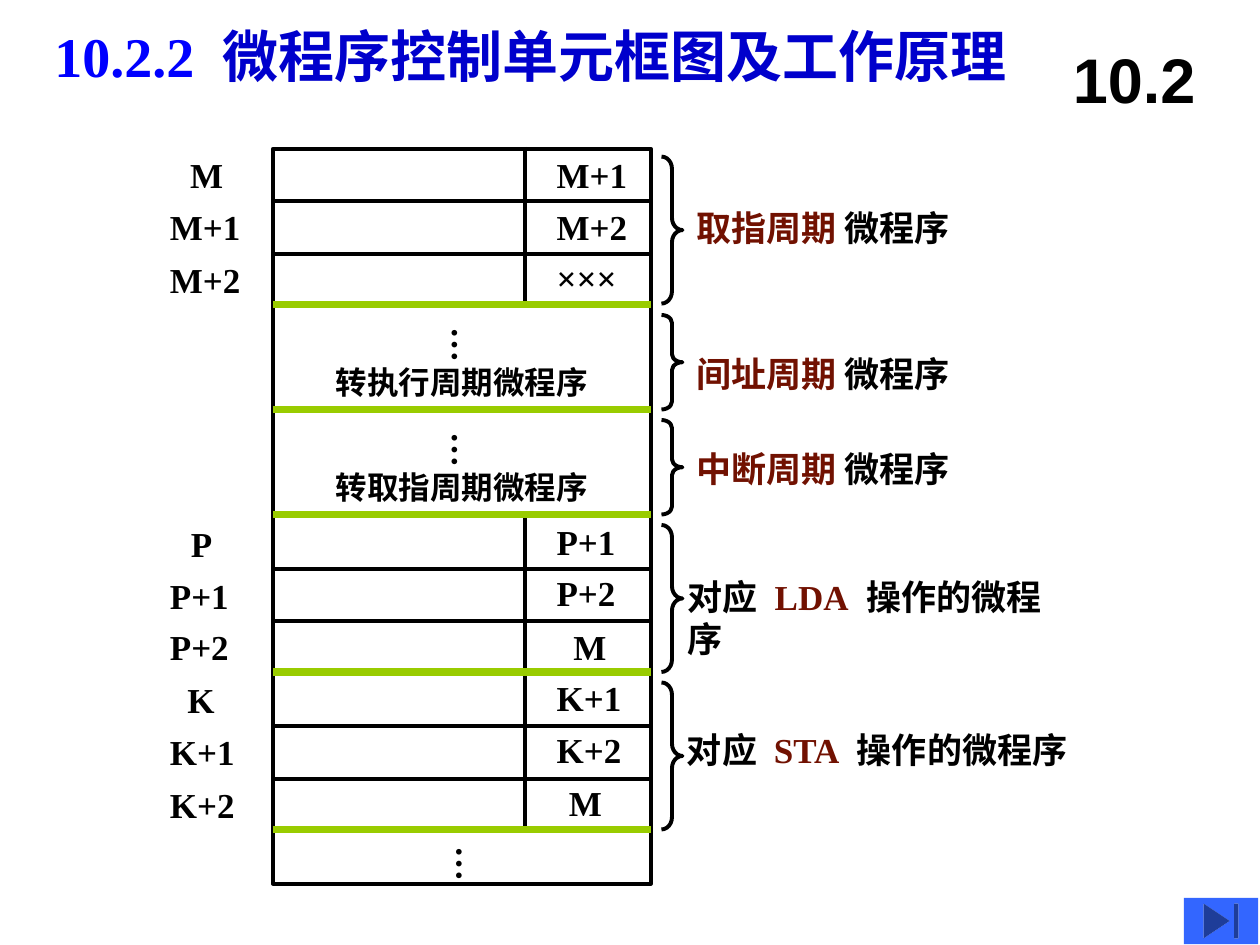
from lxml.etree import SubElement
from pptx import Presentation
from pptx.dml.color import RGBColor
from pptx.enum.shapes import MSO_CONNECTOR, MSO_SHAPE
from pptx.enum.text import MSO_ANCHOR, MSO_AUTO_SIZE, PP_ALIGN
from pptx.oxml.ns import qn
from pptx.util import Pt

BLACK, GREEN, RED = "000000", "99CC00", "711101"
LATIN, HAN = "Times New Roman", "Noto Sans CJK SC"
LEFT, WIDTH, ROW = 156, 216, 30
RIGHT, DIVIDER = LEFT + WIDTH, 300


def rgb(value):
    return RGBColor.from_string(value)


class Diagram:
    def __init__(self, slide, size=20, font=LATIN, line=2.25):
        self.slide, self.size, self.font, self.line = slide, size, font, line

    def text(self, x, y, w, h, runs, size=None, font=None, wrap=False,
             align=None, middle=False, vertical=False):
        """Add a text box; each run is (text, colour[, extra letter spacing])."""
        tf = self.slide.shapes.add_textbox(Pt(x), Pt(y), Pt(w), Pt(h)).text_frame
        tf.word_wrap = wrap
        if middle:
            tf.vertical_anchor = MSO_ANCHOR.MIDDLE
        else:
            tf.auto_size = MSO_AUTO_SIZE.SHAPE_TO_FIT_TEXT
        if vertical:
            tf._txBody.bodyPr.set("vert", "eaVert")
            tf.margin_left = tf.margin_right = Pt(3.6)
            tf.margin_top = tf.margin_bottom = Pt(7.2)
        p = tf.paragraphs[0]
        p.alignment = align
        for content, color, *spacing in runs:
            r = p.add_run()
            r.text = content
            r.font.size = Pt(size or self.size)
            r.font.bold = True
            r.font.name = font or self.font
            r.font.color.rgb = rgb(color)
            rPr = r._r.get_or_add_rPr()
            SubElement(rPr, qn("a:ea")).set("typeface", HAN)
            if spacing:
                rPr.set("spc", str(spacing[0] * 100))

    def address(self, x, y, label):
        """Add a short label in a box as wide as its letters."""
        advance = {"M": 18.9, "P": 12.2, "K": 15.6, "+": 11.4, "×": 11.4}
        w = 14.4 + sum(advance.get(ch, 10) for ch in label)
        self.text(x, y, w, 31.5, [(label, BLACK)])

    def dots(self, x, y):
        self.text(x, y, 38, 27.5, [("…", BLACK)], vertical=True)

    def shape(self, kind, x, y, w, h, fill=None):
        """Add a preset shape: filled without a line, or outlined without a fill."""
        sp = self.slide.shapes.add_shape(kind, Pt(x), Pt(y), Pt(w), Pt(h))
        sp.shadow.inherit = False
        if fill:
            sp.fill.solid()
            sp.fill.fore_color.rgb = rgb(fill)
            sp.line.fill.background()
        else:
            sp.fill.background()
            sp.line.color.rgb = rgb(BLACK)
            sp.line.width = Pt(self.line)
        return sp

    def brace(self, y, h):
        w = 12
        sp = self.shape(MSO_SHAPE.RIGHT_BRACE, RIGHT + 6, y, w, h)
        sp.adjustments[0] = h / 12 / w

    def rule(self, x1, y1, x2, y2, color=BLACK, width=None):
        cx = self.slide.shapes.add_connector(
            MSO_CONNECTOR.STRAIGHT, Pt(x1), Pt(y1), Pt(x2), Pt(y2))
        cx.line.color.rgb = rgb(color)
        cx.line.width = Pt(width or self.line)
        SubElement(cx._element.spPr, qn("a:effectLst"))


def main():
    prs = Presentation()
    prs.slide_width, prs.slide_height = Pt(720), Pt(540)
    d = Diagram(prs.slides.add_slide(prs.slide_layouts[6]))

    # Control memory: three rows, two open blocks, then seven rows
    for row in (0, 1, 2, *range(7, 14)):
        d.shape(MSO_SHAPE.RECTANGLE, LEFT, 85 + row * ROW, WIDTH, ROW)
    for x in (LEFT, RIGHT):
        d.rule(x, 175, x, 295)
    d.rule(LEFT, 235, RIGHT, 235)
    for top, bottom in ((84, 174), (294, 475)):
        d.rule(DIVIDER, top, DIVIDER, bottom)

    # Microprogram boundaries and the braces between them
    ends = [174, 234, 294, 384, 474]
    for top, bottom in zip([84] + ends, ends):
        d.rule(LEFT, bottom, RIGHT, bottom, GREEN, 4.5)
        d.brace(top + 6 if top > 84 else 89.5, bottom - top - 6)

    # Addresses on the left, next addresses in the right column
    addresses = [
        ("M", 101.5, 84), ("M+1", 90, 114), ("M+2", 90, 144),
        ("P", 102, 295), ("P+1", 90, 325), ("P+2", 90, 354),
        ("K", 100, 384), ("K+1", 90, 414), ("K+2", 90, 444),
        ("M+1", 311, 84), ("M+2", 311, 114), ("×××", 311, 143),
        ("P+1", 311, 294), ("P+2", 311, 323), ("M", 320.5, 354),
        ("K+1", 311, 383), ("K+2", 311, 413), ("M", 318, 443),
    ]
    for label, x, y in addresses:
        d.address(x, y, label)

    for y, target in ((180, "转执行周期微程序"), (240, "转取指周期微程序")):
        d.dots(244, y)
        d.text(LEFT, y + 24, WIDTH, 29, [(target, BLACK)], size=18,
               wrap=True, align=PP_ALIGN.CENTER)
    d.dots(246.5, 476.5)

    for cycle, y in (("取指周期 ", 114.5), ("间址周期 ", 198), ("中断周期 ", 252)):
        d.text(391, y, 159, 31.5, [(cycle, RED), ("微程序", BLACK)])
    for name, x, y, w in (("LDA", 386, 325.5, 236), ("STA", 385.5, 412.5, 232.5)):
        d.text(x, y, w, 31.5, [("对应", BLACK), (" ", BLACK, 5), (name, RED),
                               (" ", RED, 5), ("操作的微程序", BLACK)])

    d.text(606, 12, 114, 66, [("10.2", BLACK)], size=36, font="Arial",
           wrap=True, middle=True)
    d.shape(MSO_SHAPE.ACTION_BUTTON_END, 676.5, 513, 42.5, 26.5, fill="3366FF")
    d.text(24, 8.5, 576, 46, [("10.2.2", "0000FF"), (" ", "0000FF", 8),
                              ("微程序控制单元框图及工作原理", "0000CC")],
           size=32, wrap=True)

    prs.save("out.pptx")


if __name__ == "__main__":
    main()
